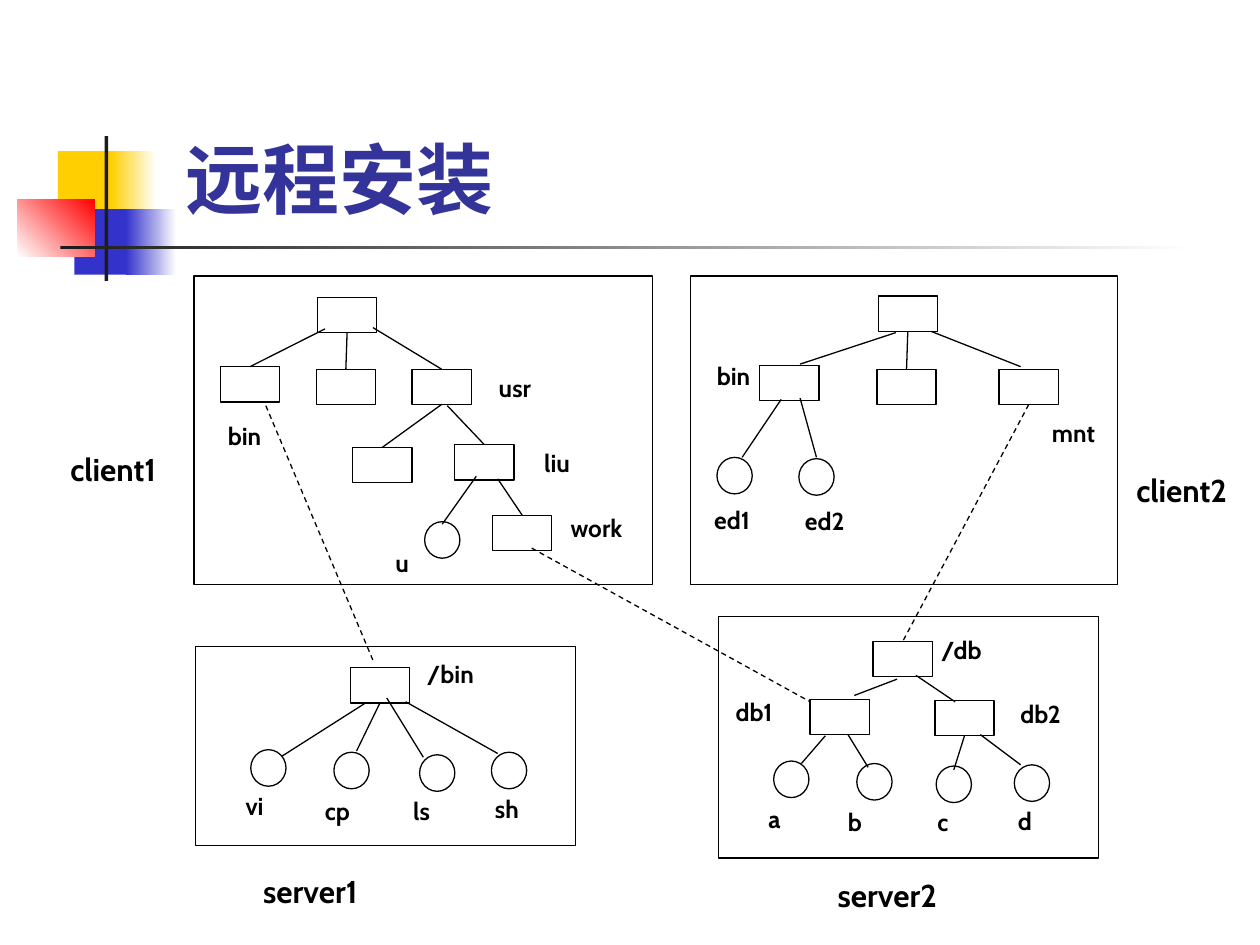
from lxml import etree
from pptx import Presentation
from pptx.dml.color import RGBColor
from pptx.enum.dml import MSO_LINE
from pptx.enum.shapes import MSO_CONNECTOR, MSO_SHAPE
from pptx.enum.text import MSO_ANCHOR, PP_ALIGN
from pptx.oxml.ns import qn
from pptx.util import Emu, Inches, Pt

RECTANGLE, OVAL = MSO_SHAPE.RECTANGLE, MSO_SHAPE.OVAL
STRAIGHT, DASH = MSO_CONNECTOR.STRAIGHT, MSO_LINE.DASH
LEFT, BOTTOM = PP_ALIGN.LEFT, MSO_ANCHOR.BOTTOM

FONT = "Cabin"
COLORS = {"white": "FFFFFF", "black": "000000", "title": "333399",
          "yellow": "FFCF01", "blue": "3333CC", "red": "FF0000", "bar": "1C1C1C"}

# The slide is a grid of 10 columns by 7.5 rows; every place is (column, row).
CELL = Inches(1)
COLUMNS, ROWS = 10, 7.5
FOLDER, FILE = (0.47, 0.28), (0.28, 0.29)
SMALL, LARGE = (14, 0.34), (18, 0.4)  # text size, box height
SNAP = 0.04  # how near a side's middle a line must end to be joined

TITLE = "远程安装"
TITLE_AREA = (1.37, 0.23, 8.52, 1.6)

# area, colours (two make a gradient), gradient angle
DECORATION = [
    ((0.46, 1.2, 0.48, 0.52), ["yellow"], 0),
    ((0.88, 1.2, 0.36, 0.52), ["yellow", "white"], 0),
    ((0.59, 1.66, 0.46, 0.52), ["blue"], 0),
    ((1, 1.66, 0.4, 0.52), ["blue", "white"], 0),
    ((0.14, 1.58, 0.61, 0.46), ["white", "red"], 45),
    ((0.83, 1.08, 0.03, 1.15), ["bar"], 0),
    ((0.48, 1.95, 9, 0.03), ["bar", "white"], 0),
]

MACHINES = [
    {
        "name": ("client1", 0.46, 3.52, 1.13),
        "frame": (1.54, 2.19, 3.64, 2.45),
        "folders": [(2.52, 2.36), (1.75, 2.91), (2.51, 2.93), (3.27, 2.93),
                    (2.8, 3.55), (3.61, 3.53), (3.91, 4.09)],
        "files": [(3.37, 4.14)],
        "labels": [("bin", 1.71, 3.29, 0.55), ("usr", 3.86, 2.91, 0.62),
                   ("liu", 4.22, 3.51, 0.48), ("work", 4.43, 4.02, 0.78),
                   ("u", 3.04, 4.3, 0.3)],
        "branches": [((2.58, 2.61), (1.98, 2.89)), ((2.96, 2.6), (3.51, 2.94)),
                     ((2.73, 2.63), (2.75, 2.93)), ((3.48, 3.22), (3.01, 3.53)),
                     ((3.55, 3.22), (3.84, 3.51)), ((3.78, 3.78), (3.51, 4.16)),
                     ((3.95, 3.8), (4.18, 4.07))],
    },
    {
        "name": ("server1", 1.99, 6.87, 1.28),
        "frame": (1.55, 5.13, 3.02, 1.58),
        "folders": [(2.78, 5.3)],
        "files": [(1.99, 5.95), (2.65, 5.97), (3.33, 5.99), (3.9, 5.97)],
        "labels": [("/bin", 3.29, 5.18, 0.71), ("vi", 1.85, 6.23, 0.58),
                   ("cp", 2.48, 6.27, 0.58), ("ls", 3.18, 6.27, 0.58),
                   ("sh", 3.83, 6.25, 0.58)],
        "branches": [((2.9, 5.58), (2.24, 6)), ((2.99, 5.59), (2.83, 5.96)),
                     ((3.07, 5.54), (3.36, 6.01)), ((3.22, 5.57), (3.95, 5.98))],
    },
    {
        "name": ("server2", 6.55, 6.9, 1.22),
        "frame": (5.7, 4.89, 3.02, 1.92),
        "folders": [(6.93, 5.09), (6.43, 5.55), (7.42, 5.56)],
        "files": [(6.14, 6.04), (6.8, 6.06), (7.43, 6.08), (8.05, 6.07)],
        "labels": [("/db", 7.37, 4.99, 0.58), ("db1", 5.74, 5.48, 0.66),
                   ("db2", 8, 5.5, 0.66), ("a", 6, 6.33, 0.58),
                   ("b", 6.63, 6.36, 0.58), ("c", 7.34, 6.36, 0.58),
                   ("d", 7.98, 6.35, 0.58)],
        "branches": [((7.12, 5.39), (6.78, 5.52)), ((7.27, 5.36), (7.58, 5.57)),
                     ((6.55, 5.84), (6.36, 6.06)), ((6.73, 5.83), (6.89, 6.09)),
                     ((7.67, 5.83), (7.57, 6.11)), ((7.78, 5.83), (8.1, 6.07))],
    },
    {
        "name": ("client2", 8.92, 3.69, 1.08),
        "frame": (5.48, 2.19, 3.39, 2.45),
        "folders": [(6.97, 2.35), (6.03, 2.9), (6.96, 2.93), (7.93, 2.93)],
        "files": [(5.69, 3.63), (6.34, 3.64)],
        "labels": [("bin", 5.59, 2.82, 0.58), ("mnt", 8.25, 3.27, 0.66),
                   ("ed1", 5.57, 3.96, 0.57), ("ed2", 6.29, 3.97, 0.7)],
        "branches": [((7.11, 2.64), (6.35, 2.89)), ((7.2, 2.64), (7.2, 2.9)),
                     ((7.39, 2.63), (8.1, 2.91)), ((6.2, 3.17), (5.89, 3.63)),
                     ((6.35, 3.16), (6.48, 3.63))],
    },
]
MOUNTS = [((8.14, 3.23), (7.14, 5.09)), ((4.22, 4.35), (6.43, 5.57)),
          ((2.11, 3.22), (2.96, 5.24))]


def color(name):
    return RGBColor.from_string(COLORS[name])


def cells(values):
    return [Emu(round(value * CELL)) for value in values]


def add_block(slide, kind, area, fills, angle=0, outlined=True):
    shape = slide.shapes.add_shape(kind, *cells(area))
    shape.shadow.inherit = False
    if len(fills) == 1:
        shape.fill.solid()
        shape.fill.fore_color.rgb = color(fills[0])
    else:
        shape.fill.gradient()
        shape.fill.gradient_angle = angle
        for stop, name in zip(shape.fill.gradient_stops, fills):
            stop.color.rgb = color(name)
    if outlined:
        shape.line.color.rgb = color("black")
        shape.line.width = Pt(0.75)
    else:
        shape.line.fill.background()
    return shape


def write(frame, text, size, name):
    frame.word_wrap = True
    para = frame.paragraphs[0]
    para.alignment = LEFT
    span = para.add_run()
    span.text = text
    span.font.name, span.font.size, span.font.bold = FONT, Pt(size), True
    span.font.color.rgb = color(name)


def add_label(slide, label, style):
    text, column, row, width = label
    size, height = style
    box = slide.shapes.add_textbox(*cells((column, row, width, height)))
    write(box.text_frame, text, size, "black")


def find_side(point, folders):
    """Return the folder and side whose middle lies at the point, if any."""
    width, height = FOLDER
    for (column, row), shape in folders.items():
        middles = [(column + width / 2, row), (column, row + height / 2),
                   (column + width / 2, row + height),
                   (column + width, row + height / 2)]
        for side, (x, y) in enumerate(middles):
            if max(abs(x - point[0]), abs(y - point[1])) < SNAP:
                return shape, side
    return None


def add_line(slide, ends, folders, dashed=False):
    start, end = ends
    line = slide.shapes.add_connector(STRAIGHT, *cells(start + end))
    line.line.color.rgb = color("black")
    line.line.width = Pt(0.75)
    if dashed:
        line.line.dash_style = DASH
    etree.SubElement(line._element.spPr, qn("a:effectLst"))
    for point, connect in ((start, line.begin_connect), (end, line.end_connect)):
        joint = find_side(point, folders)
        if joint:
            connect(*joint)


def main():
    deck = Presentation()
    deck.slide_width, deck.slide_height = cells((COLUMNS, ROWS))
    slide = deck.slides.add_slide(deck.slide_layouts[5])
    title = slide.shapes.title
    title.left, title.top, title.width, title.height = cells(TITLE_AREA)
    title.text_frame.vertical_anchor = BOTTOM
    write(title.text_frame, TITLE, 44, "title")

    for area, fills, angle in DECORATION:
        add_block(slide, RECTANGLE, area, fills, angle, outlined=False)

    folders = {}
    for machine in MACHINES:
        add_block(slide, RECTANGLE, machine["frame"], ["white"])
        for place in machine["folders"]:
            folders[place] = add_block(slide, RECTANGLE, place + FOLDER, ["white"])
        for place in machine["files"]:
            add_block(slide, OVAL, place + FILE, ["white"])
        for label in machine["labels"]:
            add_label(slide, label, SMALL)
        add_label(slide, machine["name"], LARGE)
        for ends in machine["branches"]:
            add_line(slide, ends, folders)
    for ends in MOUNTS:
        add_line(slide, ends, folders, dashed=True)
    deck.save("out.pptx")


if __name__ == "__main__":
    main()
